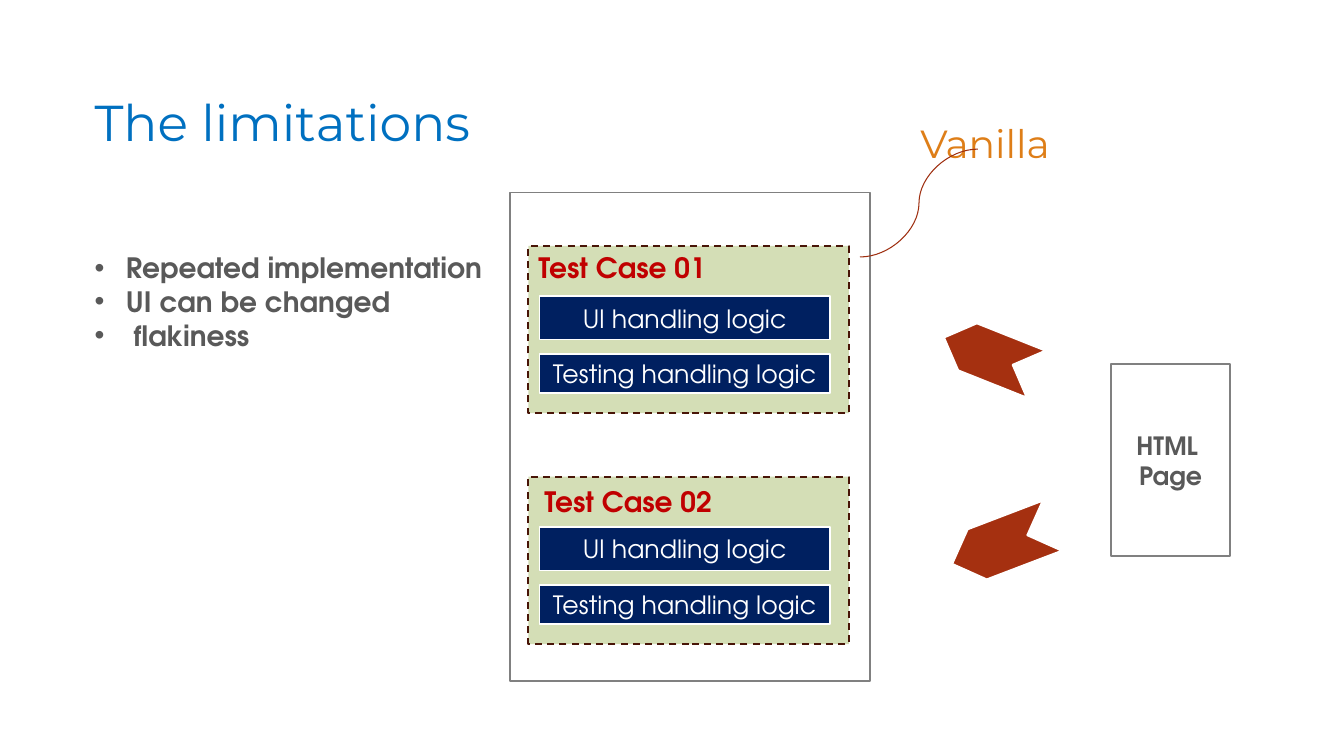
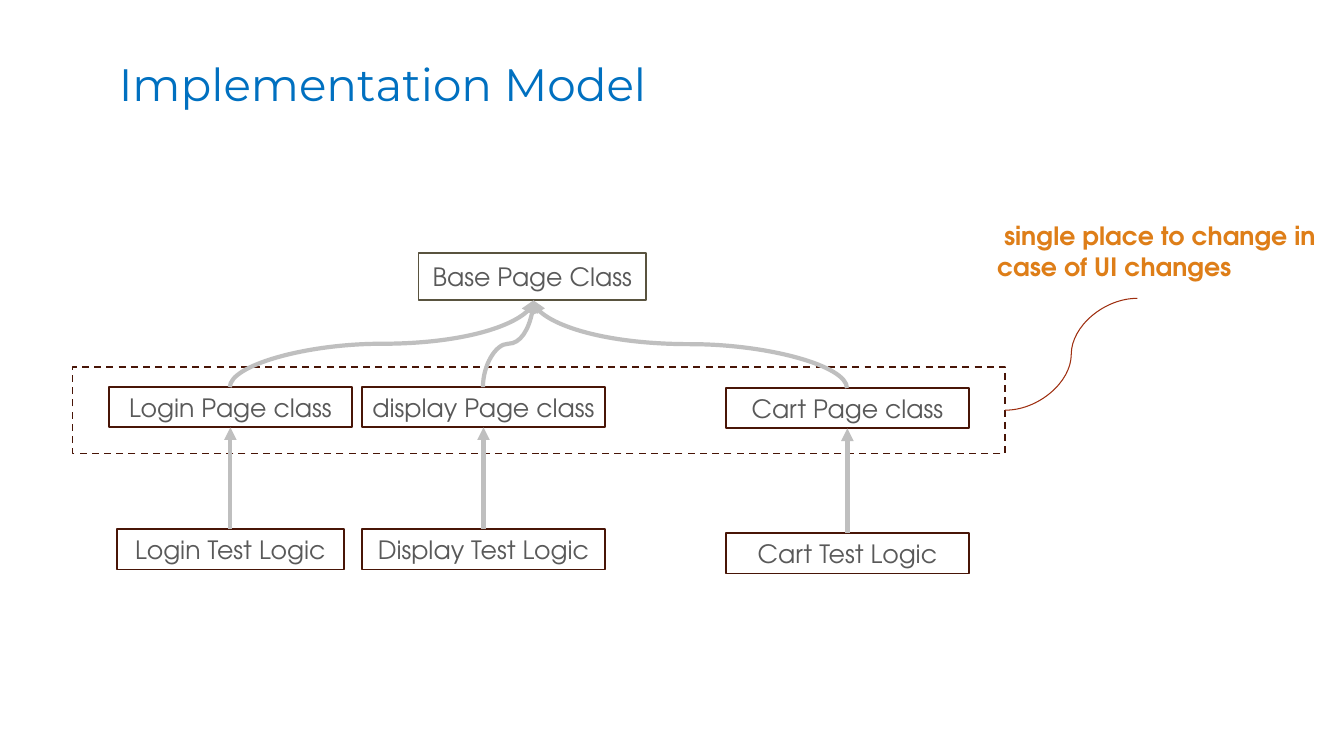
from lxml import etree
from pptx import Presentation, util as u
from pptx.dml.color import RGBColor
from pptx.enum import dml, shapes, text
from pptx.oxml import ns

PX = 9144  # 100 px to the inch
COLORS = {
    "title": "0070C0", "accent": "DE7E18", "body": "595959", "heading": "C00000",
    "white": "FFFFFF", "navy": "002060", "green": "D4DEB6", "grey": "808080",
    "maroon": "481507", "olive": "59533F", "rust": "A53010", "curve": "9E2E0F",
    "arrow": "BFBFBF",
}
BODY_FONT, TITLE_FONT = "TeX Gyre Adventor", "Montserrat"
RECTANGLE, CHEVRON = shapes.MSO_SHAPE.RECTANGLE, shapes.MSO_SHAPE.CHEVRON
STRAIGHT, CURVE = shapes.MSO_CONNECTOR.STRAIGHT, shapes.MSO_CONNECTOR.CURVE


def write(shape, content, size=18, color="body", font=BODY_FONT, bold=False,
          centered=False, bullet_indent=0):
    frame = shape.text_frame
    frame.word_wrap = True
    if centered:
        frame.margin_left = frame.margin_right = 0
    frame.vertical_anchor = text.MSO_ANCHOR.MIDDLE if centered else text.MSO_ANCHOR.TOP
    frame.text = content
    for paragraph in frame.paragraphs:
        paragraph.alignment = text.PP_ALIGN.CENTER if centered else text.PP_ALIGN.LEFT
        if bullet_indent:
            properties = paragraph._p.get_or_add_pPr()
            properties.set("marL", str(bullet_indent * PX))
            properties.set("indent", str(-bullet_indent * PX))
            etree.SubElement(properties, ns.qn("a:buFont")).set("typeface", "Arial")
            etree.SubElement(properties, ns.qn("a:buChar")).set("char", "•")
        for run in paragraph.runs:
            run.font.size = u.Pt(size)
            run.font.name = font
            run.font.bold = bold
            run.font.color.rgb = RGBColor.from_string(COLORS[color])


def box(slide, left, top, width, height, fill="white", line="maroon",
        preset=RECTANGLE, dashed=False):
    shape = slide.shapes.add_shape(preset, left * PX, top * PX, width * PX, height * PX)
    shape.shadow.inherit = False
    shape.fill.solid()
    shape.fill.fore_color.rgb = RGBColor.from_string(COLORS[fill])
    shape.line.color.rgb = RGBColor.from_string(COLORS[line])
    shape.line.width = u.Pt(1.25)
    if dashed:
        shape.line.dash_style = dml.MSO_LINE.DASH
    return shape


presentation = Presentation()
presentation.slide_width = 1333 * PX
presentation.slide_height = 750 * PX
limitations, model = [
    presentation.slides.add_slide(presentation.slide_layouts[6]) for _ in range(2)]

# Limitations: test suite, its cases and the page under test
box(limitations, 506, 191, 357, 485, line="grey")
html_page = box(limitations, 1102, 361, 118, 191, line="grey")
write(html_page, "HTML \nPage", bold=True, centered=True)
for top in (244, 473):
    box(limitations, 524, top, 318, 166, fill="green", dashed=True)
    for label, offset, height in (("UI handling logic", 50, 43),
                                  ("Testing handling logic", 107, 39)):
        logic = box(limitations, 535, top + offset, 288, height, fill="navy", line="white")
        write(logic, label, color="white", centered=True)
for left, top, width, height, rotation in ((933, 328, 98, 50, 201.7),
                                           (941, 514, 106, 53, 159.1)):
    chevron = box(limitations, left, top, width, height, fill="rust", line="white",
                  preset=CHEVRON)
    chevron.rotation = rotation

# Model: page classes inherit from the base class, tests use page classes
box(model, 72, 364, 925, 86, dashed=True)
base_class = box(model, 415, 251, 226, 47, line="olive")
write(base_class, "Base Page Class", centered=True)
base_x, base_bottom = 529, 298
arrows = []
for page_label, test_label, left, page_top, test_left, test_top, test_width in (
        ("Login Page class", "Login Test Logic", 108, 384, 116, 525, 225),
        ("display Page class", "Display Test Logic", 359, 384, 359, 525, 241),
        ("Cart Page class", "Cart Test Logic", 720, 385, 720, 529, 241)):
    page_class = box(model, left, page_top, 241, 40)
    test_logic = box(model, test_left, test_top, test_width, 40)
    write(page_class, page_label, centered=True)
    write(test_logic, test_label, centered=True)

    # A curve that leaves upwards is a horizontal one turned by 270 degrees
    page_x = left + 120
    middle_x, middle_y = (page_x + base_x) / 2, (page_top + base_bottom) / 2
    half_rise, half_run = (page_top - base_bottom) / 2, (base_x - page_x) / 2
    inheritance = model.shapes.add_connector(
        CURVE, int((middle_x - half_rise) * PX), int((middle_y - half_run) * PX),
        int((middle_x + half_rise) * PX), int((middle_y + half_run) * PX))
    inheritance._element.spPr.xfrm.set("rot", str(270 * 60000))

    usage = model.shapes.add_connector(STRAIGHT, 0, 0, 0, 0)
    usage.begin_connect(test_logic, 0)
    usage.end_connect(page_class, 2)
    arrows += [inheritance, usage]

# Titles, lists and captions
for slide, left, top, width, height, content, style in (
        (limitations, 84, 85, 440, 77, "The limitations",
         dict(size=36, color="title", font=TITLE_FONT)),
        (limitations, 84, 244, 478, 111,
         "Repeated implementation\nUI can be changed\n flakiness",
         dict(size=20, bold=True, bullet_indent=31)),
        (limitations, 524, 244, 191, 44, "Test Case 01",
         dict(size=20, color="heading", bold=True)),
        (limitations, 530, 476, 191, 44, "Test Case 02",
         dict(size=20, color="heading", bold=True)),
        (limitations, 903, 113, 239, 57, "Vanilla",
         dict(size=28, color="accent", font=TITLE_FONT)),
        (model, 108, 51, 853, 78, "Implementation Model",
         dict(size=32.4, color="title", font=TITLE_FONT)),
        (model, 979, 214, 355, 71, " single place to change in case of UI changes",
         dict(color="accent", bold=True))):
    textbox = slide.shapes.add_textbox(left * PX, top * PX, width * PX, height * PX)
    write(textbox, content, **style)

# Curves from the captions
callouts = [
    slide.shapes.add_connector(CURVE, *(length * PX for length in ends))
    for slide, ends in ((limitations, (853, 255, 970, 148)),
                        (model, (997, 407, 1128, 296)))]

# Connector style
for connectors, color, weight, has_head in ((callouts, "curve", 0.75, False),
                                            (arrows, "arrow", 3, True)):
    for connector in connectors:
        connector.line.color.rgb = RGBColor.from_string(COLORS[color])
        connector.line.width = u.Pt(weight)
        if has_head:
            outline = connector.line._get_or_add_ln()
            etree.SubElement(outline, ns.qn("a:tailEnd")).set("type", "triangle")
        etree.SubElement(connector._element.spPr, ns.qn("a:effectLst"))

presentation.save("out.pptx")
